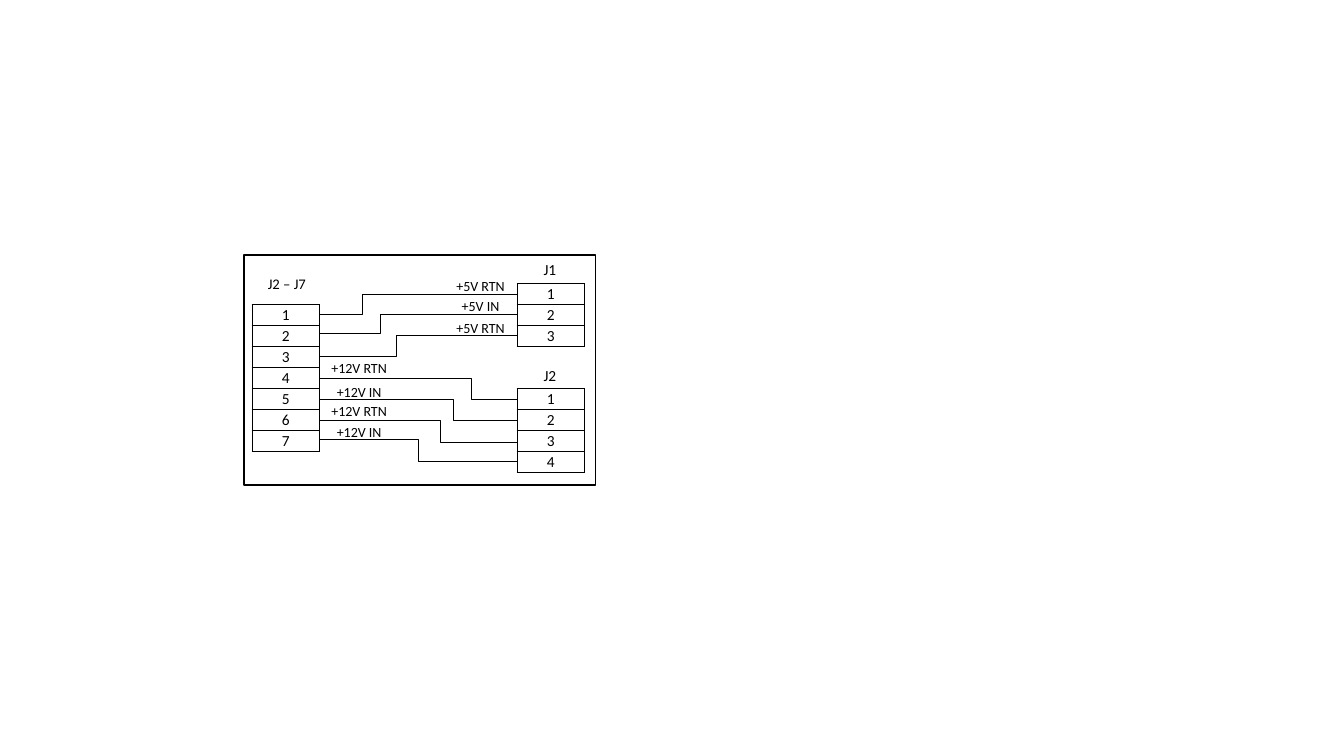
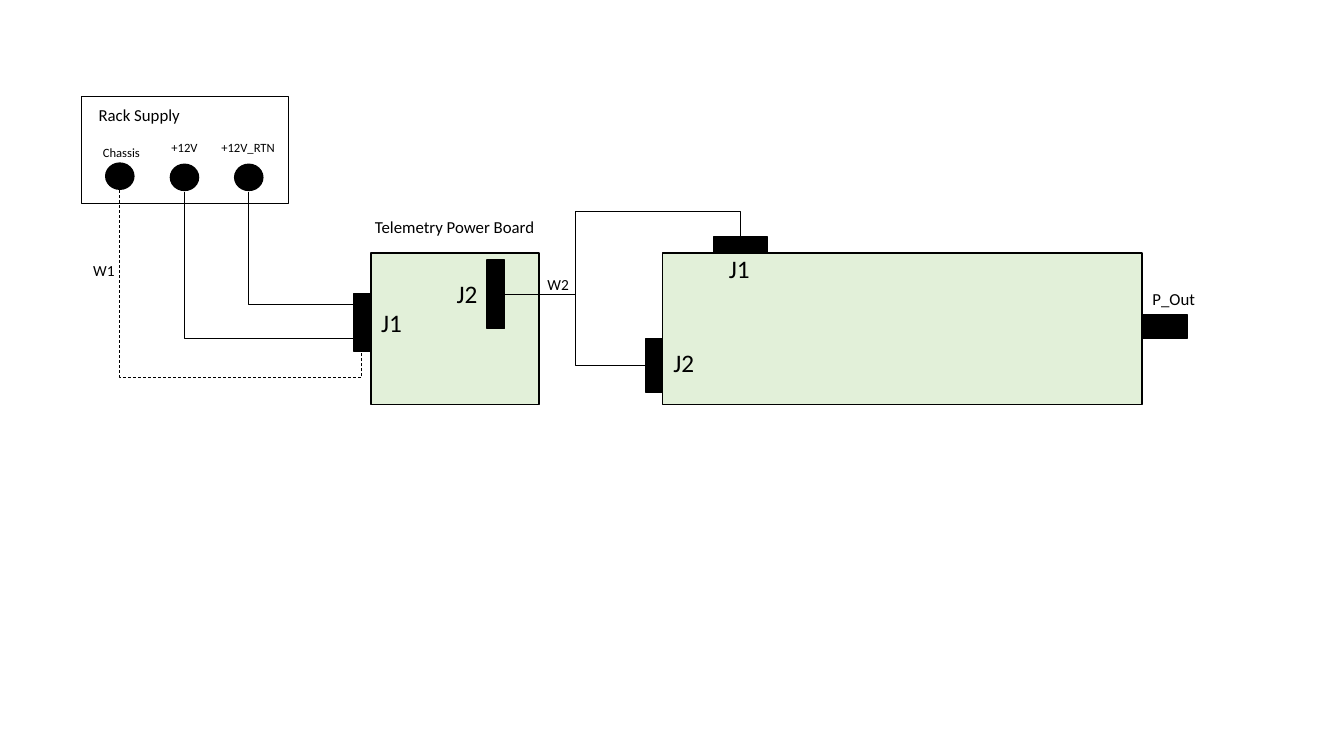
import dataclasses
import typing

import lxml.etree
import pptx
import pptx.dml.color
import pptx.enum.dml
import pptx.enum.shapes
import pptx.enum.text
import pptx.oxml.ns
import pptx.slide
import pptx.util

Cm = pptx.util.Cm
Pt = pptx.util.Pt
RGB = pptx.dml.color.RGBColor
qn = pptx.oxml.ns.qn
Kind = pptx.enum.shapes.MSO_SHAPE
Point = tuple[float, float]


@dataclasses.dataclass(frozen=True)
class Theme:
    font: str = "Calibri"
    ink: RGB = RGB(0x00, 0x00, 0x00)
    board: RGB = RGB(0xE2, 0xF0, 0xD9)
    outline: float = 1
    wire: float = 0.5
    connector: float = 18
    title: float = 12
    pin: float = 11
    cable: float = 10.5
    signal: float = 10
    terminal: float = 9


THEME = Theme()


class Label(typing.NamedTuple):
    text: str
    center: float
    top: float
    width: float
    size: float


class Block(typing.NamedTuple):
    left: float
    top: float
    width: float
    height: float
    fill: RGB | None = THEME.ink
    kind: Kind = Kind.RECTANGLE


class Wire(typing.NamedTuple):
    start: Point
    end: Point
    bends: tuple[float, ...] = (0.5,)
    vertical: bool = False
    dashed: bool = False


class Signal(typing.NamedTuple):
    name: str
    start_y: float
    end_y: float
    bend: float
    name_center: float
    name_top: float
    name_width: float


class PinColumn(typing.NamedTuple):
    left: float
    top: float
    pins: tuple[str, ...]


PIN_WIDTH, PIN_HEIGHT = 1.7, 0.53
CABLE_LEFT, BOARD_LEFT = 6.35, 13.03
FIVE_VOLT, TWELVE_VOLT = 12.11, 9.05

FRAME = Block(6.15, 6.43, 8.86, 5.79, None)
PIN_COLUMNS = (
    PinColumn(CABLE_LEFT, 7.67, tuple("1234567")),
    PinColumn(BOARD_LEFT, 7.14, ("1", "2", "3", "", "", "1", "2", "3", "4")),
)
SIGNALS = (
    Signal("+5V RTN", 7.92, 7.42, 0.22, FIVE_VOLT, 6.86, 1.75),
    Signal("+5V IN", 8.41, 7.92, 0.31, FIVE_VOLT, 7.37, 1.47),
    Signal("+5V RTN", 8.97, 8.46, 0.39, FIVE_VOLT, 7.92, 1.75),
    Signal("+12V RTN", 9.53, 10.06, 0.77, TWELVE_VOLT, 8.94, 1.93),
    Signal("+12V IN", 10.06, 10.59, 0.68, TWELVE_VOLT, 9.53, 1.65),
    Signal("+12V RTN", 10.59, 11.15, 0.61, TWELVE_VOLT, 10.03, 1.93),
    Signal("+12V IN", 11.07, 11.63, 0.5, TWELVE_VOLT, 10.54, 1.65),
)
PIN_TITLES = (
    Label("J2 – J7", 7.23, 6.81, 1.55, THEME.cable),
    Label("J1", 13.86, 6.43, 0.84, THEME.pin),
    Label("J2", 13.86, 9.09, 0.84, THEME.pin),
)

CHASSIS_X, SUPPLY_X, RETURN_X = 3.02, 4.65, 6.27
POST_WIDTH, POST_HEIGHT = 0.71, 0.66
RACK_SUPPLY = Block(2.06, 2.44, 5.21, 2.69, None)
POSTS = tuple(
    Block(x - POST_WIDTH / 2, top, POST_WIDTH, POST_HEIGHT, kind=Kind.OVAL)
    for x, top in ((CHASSIS_X, 4.11), (SUPPLY_X, 4.14), (RETURN_X, 4.14))
)
BOARDS = (
    Block(9.35, 6.38, 4.24, 3.81, THEME.board),
    Block(16.69, 6.38, 12.09, 3.81, THEME.board),
)
PLUGS = (
    Block(8.92, 7.39, 0.43, 1.47),
    Block(12.27, 6.55, 0.44, 1.73),
    Block(17.98, 5.97, 1.37, 0.41),
    Block(16.28, 8.53, 0.41, 1.37),
    Block(28.78, 7.92, 1.14, 0.61),
)
HARNESS = (
    Wire((RETURN_X, 4.83), (8.92, 7.67), (), vertical=True),
    Wire((SUPPLY_X, 4.83), (8.92, 8.53), (), vertical=True),
    Wire((CHASSIS_X, 4.8), (9.12, 8.86), (1.16,), vertical=True, dashed=True),
    Wire((12.73, 7.42), (16.28, 9.22)),
    Wire((12.73, 7.42), (18.67, 5.97), (0.3, 1.44)),
)
POWER_LABELS = (
    Label("Rack Supply", 3.51, 2.51, 2.59, THEME.title),
    Label("Chassis", 3.06, 3.53, 1.45, THEME.terminal),
    Label("+12V", 4.65, 3.4, 1.17, THEME.terminal),
    Label("+12V_RTN", 6.25, 3.4, 1.88, THEME.terminal),
    Label("W1", 2.62, 6.45, 1.07, THEME.pin),
    Label("Telemetry Power Board", 11.46, 5.33, 4.57, THEME.title),
    Label("J1", 9.87, 7.62, 1.04, THEME.connector),
    Label("J2", 11.77, 6.88, 1.04, THEME.connector),
    Label("W2", 14.07, 6.81, 1.07, THEME.pin),
    Label("J1", 18.63, 6.25, 1.04, THEME.connector),
    Label("J2", 17.23, 8.64, 1.04, THEME.connector),
    Label("P_Out", 29.58, 7.14, 1.6, THEME.title),
)


def set_text(frame: typing.Any, text: str, size: float) -> None:
    paragraph = frame.paragraphs[0]
    paragraph.text = text
    paragraph.alignment = pptx.enum.text.PP_ALIGN.CENTER
    paragraph.font.name = THEME.font
    paragraph.font.size = Pt(size)
    paragraph.font.color.rgb = THEME.ink


def draw_label(slide: pptx.slide.Slide, label: Label) -> None:
    height = 0.25 + 0.043 * label.size
    box = slide.shapes.add_textbox(
        Cm(label.center - label.width / 2), Cm(label.top), Cm(label.width), Cm(height)
    )
    box.text_frame.word_wrap = False
    box.text_frame.auto_size = pptx.enum.text.MSO_AUTO_SIZE.SHAPE_TO_FIT_TEXT
    set_text(box.text_frame, label.text, label.size)


def draw_block(slide: pptx.slide.Slide, block: Block) -> None:
    shape = slide.shapes.add_shape(
        block.kind, Cm(block.left), Cm(block.top), Cm(block.width), Cm(block.height)
    )
    shape.shadow.inherit = False
    if block.fill is None:
        shape.fill.background()
    else:
        shape.fill.solid()
        shape.fill.fore_color.rgb = block.fill
    shape.line.color.rgb = THEME.ink
    shape.line.width = Pt(THEME.outline)


def draw_wire(slide: pptx.slide.Slide, wire: Wire) -> None:
    (x1, y1), (x2, y2) = wire.start, wire.end
    if wire.vertical:
        mid_x, mid_y = (x1 + x2) / 2, (y1 + y2) / 2
        half_x, half_y = (x2 - x1) / 2, (y2 - y1) / 2
        x1, x2 = mid_x + half_y, mid_x - half_y
        y1, y2 = mid_y - half_x, mid_y + half_x
    connector = slide.shapes.add_connector(
        pptx.enum.shapes.MSO_CONNECTOR.ELBOW, Cm(x1), Cm(y1), Cm(x2), Cm(y2)
    )
    connector.line.color.rgb = THEME.ink
    connector.line.width = Pt(THEME.wire)
    if wire.dashed:
        connector.line.dash_style = pptx.enum.dml.MSO_LINE.DASH
    properties = connector._element.spPr
    if wire.vertical:
        properties.find(qn("a:xfrm")).set("rot", "16200000")
    geometry = properties.find(qn("a:prstGeom"))
    geometry.set("prst", f"bentConnector{len(wire.bends) + 2}")
    adjustments = geometry.find(qn("a:avLst"))
    for number, bend in enumerate(wire.bends, 1):
        guide = lxml.etree.SubElement(adjustments, qn("a:gd"))
        guide.set("name", f"adj{number}")
        guide.set("fmla", f"val {round(bend * 100000)}")
    lxml.etree.SubElement(properties, qn("a:effectLst"))


def set_border(cell: typing.Any, edge: str, visible: bool) -> None:
    border = lxml.etree.SubElement(cell._tc.get_or_add_tcPr(), qn(f"a:ln{edge}"))
    border.set("w", str(Pt(THEME.wire)))
    if visible:
        paint = lxml.etree.SubElement(border, qn("a:solidFill"))
        lxml.etree.SubElement(paint, qn("a:srgbClr")).set("val", str(THEME.ink))
    else:
        lxml.etree.SubElement(border, qn("a:noFill"))


def draw_pins(slide: pptx.slide.Slide, column: PinColumn) -> None:
    count = len(column.pins)
    table = slide.shapes.add_table(
        count, 1, Cm(column.left), Cm(column.top), Cm(PIN_WIDTH), Cm(PIN_HEIGHT * count)
    ).table
    table.first_row = table.horz_banding = False
    bounded = ("", *column.pins, "")
    for row, pin in enumerate(column.pins):
        table.rows[row].height = Cm(PIN_HEIGHT)
        cell = table.cell(row, 0)
        cell.margin_left = cell.margin_right = cell.margin_top = Cm(0.02)
        cell.margin_bottom = Cm(0)
        cell.vertical_anchor = pptx.enum.text.MSO_ANCHOR.MIDDLE
        set_text(cell.text_frame, pin, THEME.pin)
        above, below = bounded[row], bounded[row + 2]
        for edge, visible in (
            ("L", pin), ("R", pin), ("T", pin or above), ("B", pin or below)
        ):
            set_border(cell, edge, bool(visible))
        cell.fill.background()


def build_pinout(slide: pptx.slide.Slide) -> None:
    for column in PIN_COLUMNS:
        draw_pins(slide, column)
    for signal in SIGNALS:
        start = (CABLE_LEFT + PIN_WIDTH, signal.start_y)
        draw_wire(slide, Wire(start, (BOARD_LEFT, signal.end_y), (signal.bend,)))
        draw_label(slide, Label(
            signal.name, signal.name_center, signal.name_top,
            signal.name_width, THEME.signal,
        ))
    for label in PIN_TITLES:
        draw_label(slide, label)
    draw_block(slide, FRAME)


def build_power_chain(slide: pptx.slide.Slide) -> None:
    for block in (RACK_SUPPLY, *BOARDS, *POSTS, *PLUGS):
        draw_block(slide, block)
    for wire in HARNESS:
        draw_wire(slide, wire)
    for label in POWER_LABELS:
        draw_label(slide, label)


def main() -> None:
    deck = pptx.Presentation()
    deck.slide_width, deck.slide_height = Cm(33.87), Cm(19.05)
    for build in (build_pinout, build_power_chain):
        build(deck.slides.add_slide(deck.slide_layouts[6]))
    deck.save("out.pptx")


if __name__ == "__main__":
    main()
